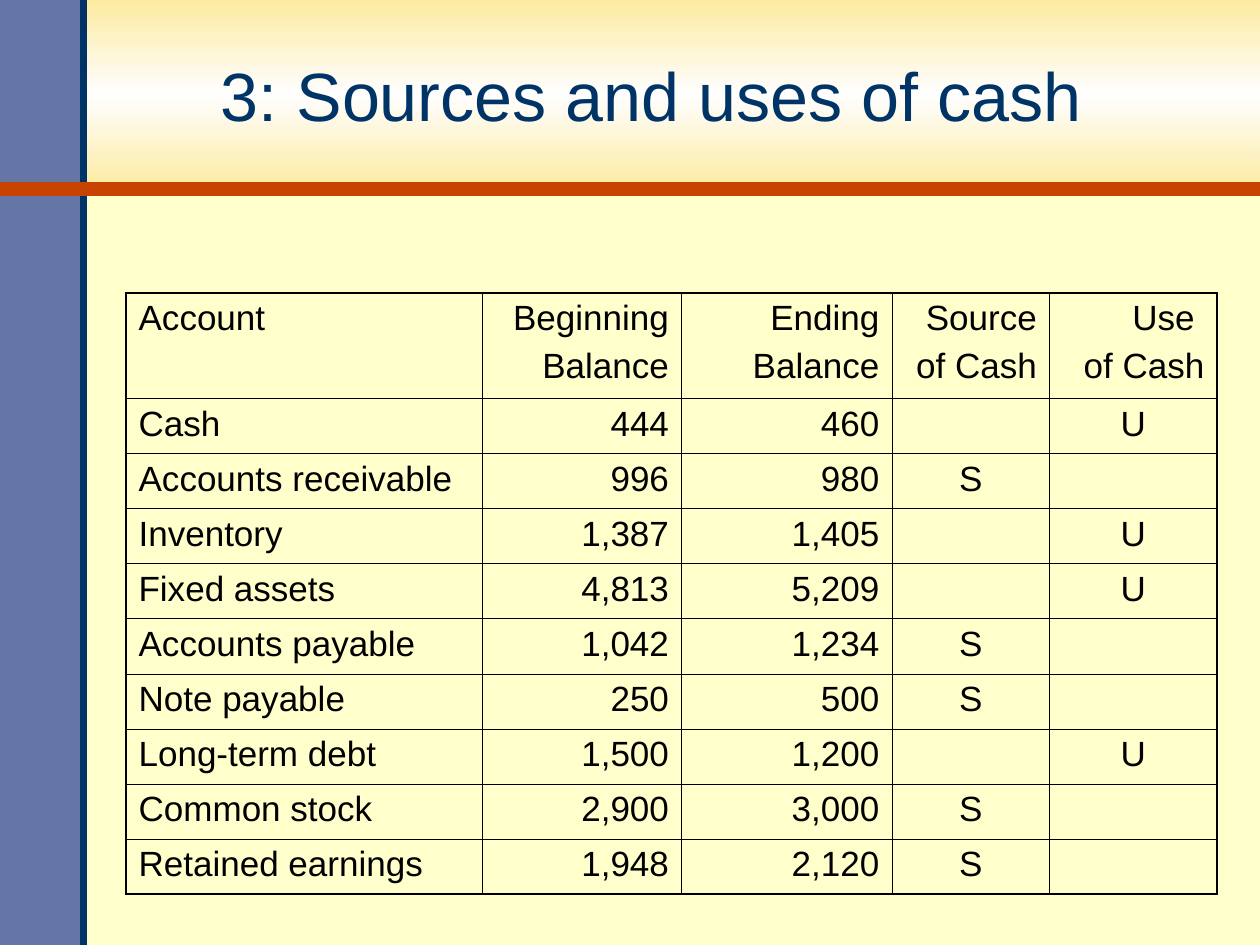
"""Build the slide on sources and uses of cash, with its balance table."""
import copy

import lxml.etree
import pptx
import pptx.dml.color
import pptx.enum.shapes
import pptx.enum.text
import pptx.oxml.ns
import pptx.util

CREAM = pptx.dml.color.RGBColor(0xFF, 0xFF, 0xCC)
GOLD = pptx.dml.color.RGBColor(0xFD, 0xEB, 0xA1)
WHITE = pptx.dml.color.RGBColor(0xFE, 0xFE, 0xFE)
SLATE = pptx.dml.color.RGBColor(0x64, 0x75, 0xA6)
NAVY = pptx.dml.color.RGBColor(0x00, 0x33, 0x66)
RUST = pptx.dml.color.RGBColor(0xC8, 0x43, 0x00)
BLACK = pptx.dml.color.RGBColor(0, 0, 0)

ALIGN = pptx.enum.text.PP_ALIGN
RECTANGLE = pptx.enum.shapes.MSO_SHAPE.RECTANGLE
STRAIGHT = pptx.enum.shapes.MSO_CONNECTOR.STRAIGHT
FONT = "Arial"
qn = pptx.oxml.ns.qn

deck = pptx.Presentation()
deck.slide_width = W = pptx.util.Inches(10)
deck.slide_height = H = pptx.util.Inches(7.5)
slide = deck.slides.add_slide(deck.slide_layouts[6])
slide.background.fill.solid()
slide.background.fill.fore_color.rgb = CREAM

header_height = H // 5
sidebar_width = W // 15


def add_run(paragraph, text, size, color):
    run = paragraph.add_run()
    run.text = text
    run.font.name = FONT
    run.font.size = pptx.util.Pt(size)
    run.font.color.rgb = color


def set_border(cell, position, side, width):
    line = lxml.etree.Element(qn(f"a:ln{side}"), w=str(pptx.util.Pt(width)))
    fill = lxml.etree.SubElement(line, qn("a:solidFill"))
    lxml.etree.SubElement(fill, qn("a:srgbClr"), val=str(BLACK))
    cell._tc.get_or_add_tcPr().insert(position, line)


header = slide.shapes.add_shape(RECTANGLE, 0, 0, W, header_height)
header.fill.gradient()
header.fill.gradient_angle = 270
first_stop = header._element.find(".//" + qn("a:gs"))
first_stop.addnext(copy.deepcopy(first_stop))
for stop, color, position in zip(header.fill.gradient_stops, (GOLD, WHITE, GOLD), (0, 0.5, 1)):
    stop.color.rgb = color
    stop.position = position

sidebar = slide.shapes.add_shape(RECTANGLE, 0, 0, sidebar_width, H)
sidebar.fill.solid()
sidebar.fill.fore_color.rgb = SLATE

for panel in (header, sidebar):
    panel.line.fill.background()
    panel.shadow.inherit = False

for ends, color, width in (
    ((sidebar_width, H, sidebar_width, 0), NAVY, 4),
    ((0, header_height, W, header_height), RUST, 8),
):
    rule = slide.shapes.add_connector(STRAIGHT, *ends)
    rule.line.color.rgb = color
    rule.line.width = pptx.util.Pt(width)
    lxml.etree.SubElement(rule._element.spPr, qn("a:effectLst"))

title = slide.shapes.add_textbox(int(W * 0.065), int(H * 0.02), int(W * 0.904), int(H * 0.16))
title.text_frame.word_wrap = True
title.text_frame.vertical_anchor = pptx.enum.text.MSO_ANCHOR.MIDDLE
title.text_frame.paragraphs[0].alignment = ALIGN.CENTER
add_run(title.text_frame.paragraphs[0], "3: Sources and uses of cash", 39, NAVY)

accounts = [
    ("Account", "Beginning\nBalance", "Ending\nBalance", "Source\nof Cash", "Use \nof Cash"),
    ("Cash", "444", "460", "", "U"),
    ("Accounts receivable", "996", "980", "S", ""),
    ("Inventory", "1,387", "1,405", "", "U"),
    ("Fixed assets", "4,813", "5,209", "", "U"),
    ("Accounts payable", "1,042", "1,234", "S", ""),
    ("Note payable", "250", "500", "S", ""),
    ("Long-term debt", "1,500", "1,200", "", "U"),
    ("Common stock", "2,900", "3,000", "S", ""),
    ("Retained earnings", "1,948", "2,120", "S", ""),
]
column_widths = [pptx.util.Inches(w) for w in (2.83, 1.58, 1.67, 1.25, 1.33)]
heading_height = pptx.util.Inches(0.84)
table_height = pptx.util.Inches(4.77)
last_row = len(accounts) - 1
last_column = len(column_widths) - 1
account_height = (table_height - heading_height) // last_row

balances = slide.shapes.add_table(
    len(accounts), len(column_widths), W // 10, int(H * 0.31), sum(column_widths), table_height
).table
balances.first_row = balances.horz_banding = False
for column, width in zip(balances.columns, column_widths):
    column.width = width

for r, account in enumerate(accounts):
    balances.rows[r].height = account_height if r else heading_height
    for c, text in enumerate(account):
        cell = balances.cell(r, c)
        cell.fill.background()
        outer_sides = (c == 0, c == last_column, r == 0, r == last_row)
        for position, (side, outer) in enumerate(zip("LRTB", outer_sides)):
            set_border(cell, position, side, 1.08 if outer else 0.45)
        for n, line in enumerate(text.split("\n") if text else []):
            paragraph = cell.text_frame.add_paragraph() if n else cell.text_frame.paragraphs[0]
            if n:
                paragraph.space_before = pptx.util.Pt(5)
            if c:
                paragraph.alignment = ALIGN.CENTER if r and c > 2 else ALIGN.RIGHT
            add_run(paragraph, line, 20, BLACK)

deck.save("out.pptx")
